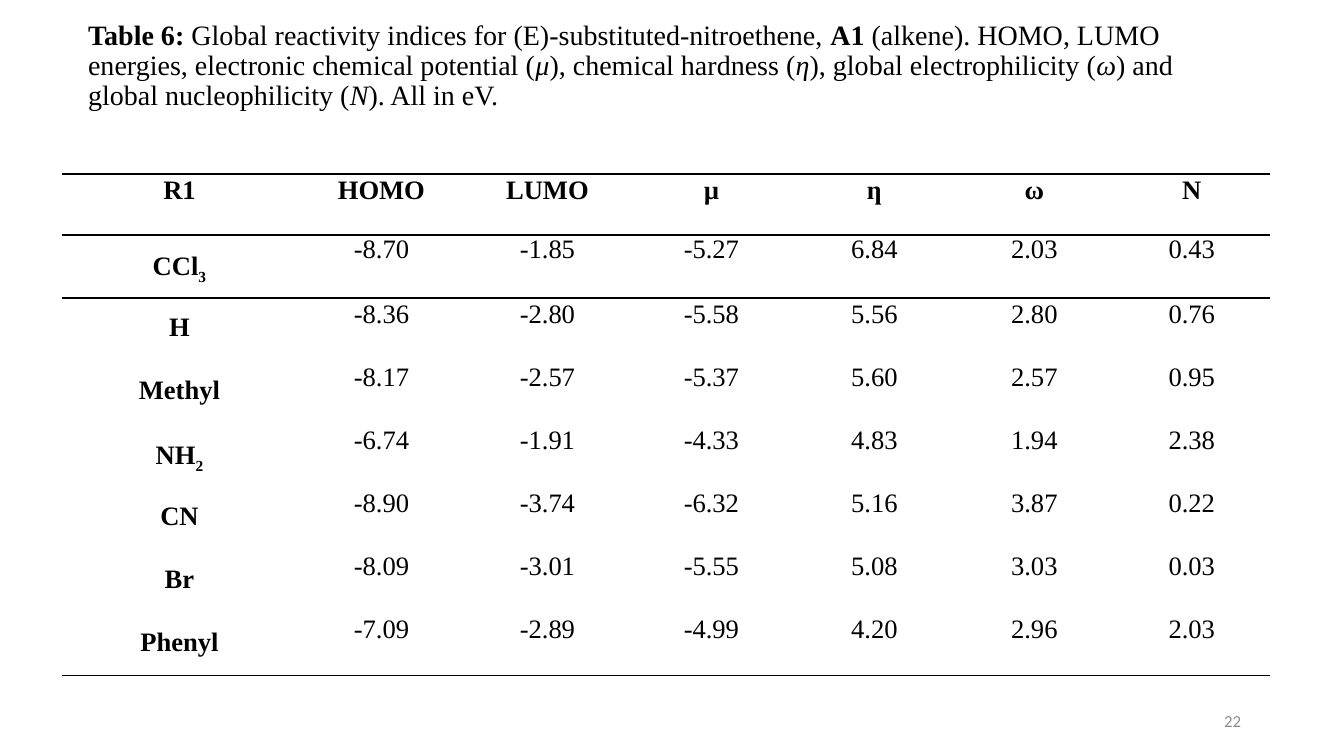
from lxml import etree
from pptx import Presentation
from pptx import util as u
from pptx.dml.color import RGBColor
from pptx.enum import text
from pptx.oxml.ns import qn

PX = 9071.43  # EMU per pixel
BLACK = RGBColor(0, 0, 0)
GREY = RGBColor(0x8C, 0x8C, 0x8C)
SERIF = "Times New Roman"

TITLE = [
    ("Table 6: ", "b"),
    ("Global reactivity indices for (E)-substituted-nitroethene, ", ""),
    ("A1", "b"),
    (" (alkene). HOMO, LUMO energies, electronic chemical potential (", ""),
    ("μ", "i"), ("), chemical hardness (", ""),
    ("η", "i"), ("), global electrophilicity (", ""),
    ("ω", "i"), (") and global nucleophilicity (", ""),
    ("N", "i"), ("). All in eV.", ""),
]
HEAD = ["R1", "HOMO", "LUMO", "µ", "ƞ", "ω", "N"]
# A "_" starts a subscript
ROWS = [
    ["CCl_3", "-8.70", "-1.85", "-5.27", "6.84", "2.03", "0.43"],
    ["H", "-8.36", "-2.80", "-5.58", "5.56", "2.80", "0.76"],
    ["Methyl", "-8.17", "-2.57", "-5.37", "5.60", "2.57", "0.95"],
    ["NH_2", "-6.74", "-1.91", "-4.33", "4.83", "1.94", "2.38"],
    ["CN", "-8.90", "-3.74", "-6.32", "5.16", "3.87", "0.22"],
    ["Br", "-8.09", "-3.01", "-5.55", "5.08", "3.03", "0.03"],
    ["Phenyl", "-7.09", "-2.89", "-4.99", "4.20", "2.96", "2.03"],
]
WIDTHS = [235, 169, 163, 165, 161, 159, 156]
HEAD_H, ROW_H = 61, 63
RULES = {0, 1, 2, len(ROWS) + 1}  # row edges that carry a line


def px(n):
    return u.Emu(round(n * PX))


def style(para, size, color, face, align, space=1.0):
    para.alignment = align
    para.line_spacing = space
    font = para.font
    font.size, font.name = u.Pt(size), face
    font.color.rgb = color


def add_title(slide):
    shape = slide.shapes.title
    shape.left, shape.top, shape.width, shape.height = map(px, (78, 62, 1159, 55))
    frame = shape.text_frame
    frame.word_wrap = True
    frame.auto_size = text.MSO_AUTO_SIZE.NONE
    frame.vertical_anchor = text.MSO_ANCHOR.BOTTOM
    para = frame.paragraphs[0]
    style(para, 20, BLACK, SERIF, text.PP_ALIGN.LEFT, 0.9)
    for words, kind in TITLE:
        run = para.add_run()
        run.text = words
        run.font.bold = kind == "b"
        run.font.italic = kind == "i"


def add_number(slide):
    box = slide.shapes.add_textbox(*map(px, (949, 701, 302, 40)))
    frame = box.text_frame
    frame.word_wrap = True
    frame.vertical_anchor = text.MSO_ANCHOR.MIDDLE
    frame.text = "22"
    style(frame.paragraphs[0], 12, GREY, "Calibri", text.PP_ALIGN.RIGHT)


def set_edge(cell, side, ruled):
    props = cell._tc.get_or_add_tcPr()
    line = etree.SubElement(props, qn("a:ln" + side), w=str(u.Pt(1)))
    if ruled:
        fill = etree.SubElement(line, qn("a:solidFill"))
        etree.SubElement(fill, qn("a:srgbClr"), val=str(BLACK))
    else:
        etree.SubElement(line, qn("a:noFill"))


def fill_cell(cell, words, row, col):
    cell.margin_left = cell.margin_right = px(7)
    cell.margin_top = cell.margin_bottom = 0
    for side, ruled in (("L", False), ("R", False),
                        ("T", row in RULES), ("B", row + 1 in RULES)):
        set_edge(cell, side, ruled)
    cell.fill.background()
    if row and not col:
        space = 1.5
    else:
        space = 1.0 if row == 1 else 1.07
    para = cell.text_frame.paragraphs[0]
    style(para, 19, BLACK, SERIF, text.PP_ALIGN.CENTER, space)
    para.font.bold = row == 0 or col == 0
    base, _, sub = words.partition("_")
    para.add_run().text = base
    if sub:
        run = para.add_run()
        run.text = sub
        run._r.get_or_add_rPr().set("baseline", "-25000")


def add_grid(slide):
    data = [HEAD] + ROWS
    high = HEAD_H + ROW_H * len(ROWS)
    frame = slide.shapes.add_table(
        len(data), len(HEAD), px(62), px(174), px(sum(WIDTHS)), px(high))
    table = frame.table
    table.first_row = table.horz_banding = False
    for col, width in zip(table.columns, WIDTHS):
        col.width = px(width)
    for r, line in enumerate(data):
        table.rows[r].height = px(ROW_H if r else HEAD_H)
        for c, words in enumerate(line):
            fill_cell(table.cell(r, c), words, r, c)


def main():
    deck = Presentation()
    deck.slide_width, deck.slide_height = px(1344), px(756)
    slide = deck.slides.add_slide(deck.slide_layouts[5])
    add_title(slide)
    add_number(slide)
    add_grid(slide)
    deck.save("out.pptx")


if __name__ == "__main__":
    main()
